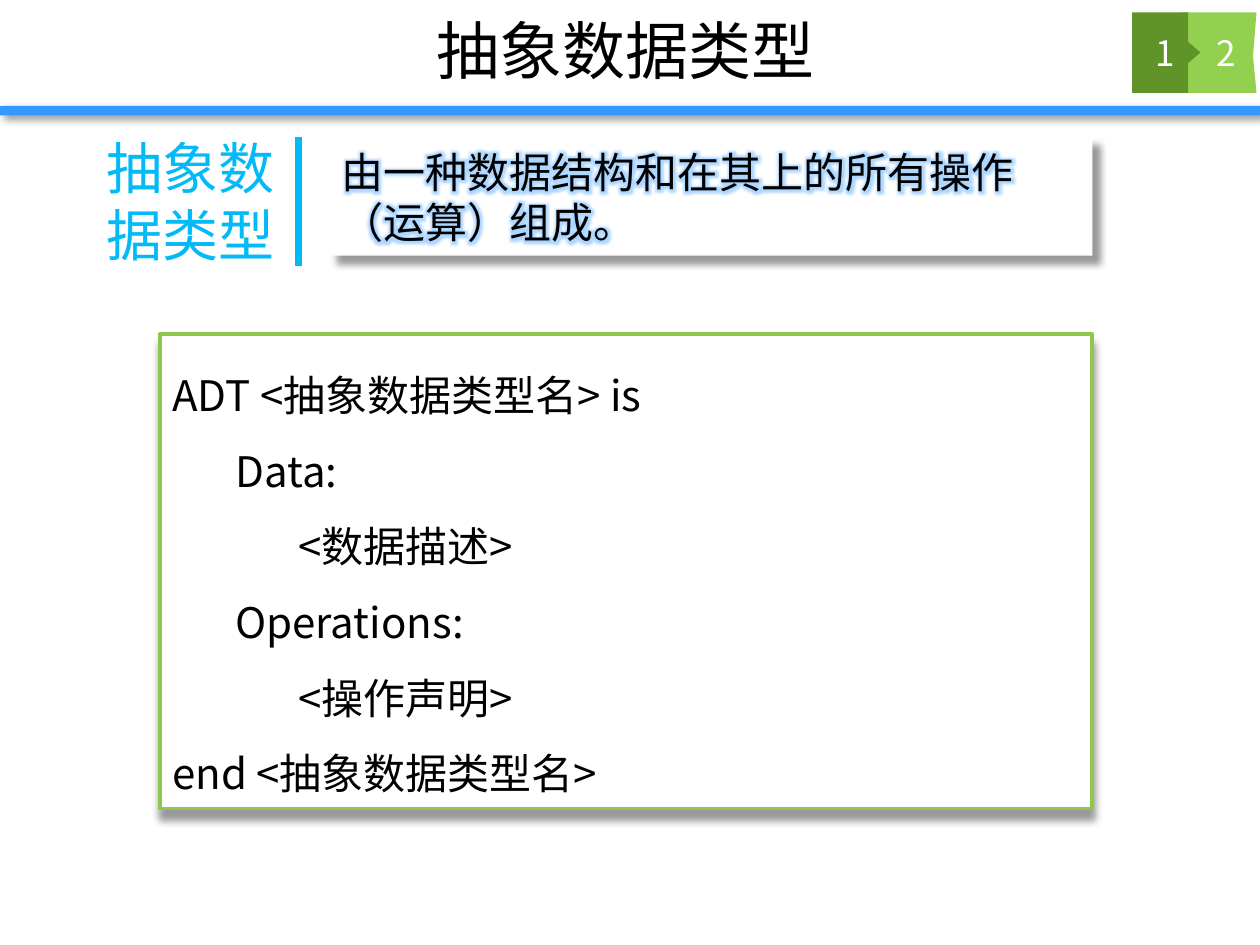
from lxml.etree import SubElement
from pptx import Presentation
from pptx.dml.color import RGBColor
from pptx.enum.shapes import MSO_CONNECTOR, MSO_SHAPE
from pptx.enum.text import MSO_ANCHOR, PP_ALIGN
from pptx.oxml import parse_xml
from pptx.oxml.ns import nsdecls, qn
from pptx.util import Pt

FONT = "Noto Sans CJK SC"
color = RGBColor.from_string


def style(shape, fill, distance=0, angle=0):
    shape.shadow.inherit = False
    shape.fill.solid()
    shape.fill.fore_color.rgb = color(fill)
    shape.line.fill.background()
    if distance:
        effects = shape._element.spPr.find(qn("a:effectLst"))
        effects.append(parse_xml(
            f'<a:outerShdw {nsdecls("a")} blurRad="{Pt(4)}" dist="{Pt(distance)}" '
            f'dir="{angle * 60000}" algn="tl" rotWithShape="0">'
            '<a:srgbClr val="000000"><a:alpha val="40000"/></a:srgbClr></a:outerShdw>'))


def write(shape, lines, size, font_color="000000", align=PP_ALIGN.LEFT,
          anchor=MSO_ANCHOR.MIDDLE, spacing=None):
    frame = shape.text_frame
    frame.word_wrap = True
    frame.vertical_anchor = anchor
    frame.text = "\n".join(lines)
    for paragraph in frame.paragraphs:
        paragraph.alignment = align
        paragraph.line_spacing = spacing
        paragraph.font.size = Pt(size)
        paragraph.font.name = FONT
        paragraph.font.color.rgb = color(font_color)
        defaults = paragraph._p.pPr.find(qn("a:defRPr"))
        SubElement(defaults, qn("a:ea")).set("typeface", FONT)


presentation = Presentation()
presentation.slide_width = Pt(720)
presentation.slide_height = Pt(540)
slide = presentation.slides.add_slide(presentation.slide_layouts[6])
shapes = slide.shapes

header_bar = shapes.add_shape(MSO_SHAPE.RECTANGLE, Pt(0), Pt(60.5), Pt(720), Pt(5.5))
style(header_bar, "3399FF", 3, 45)

tabs = [
    ("93D050", [(675.4, 7.2), (718.5, 7.2), (715.7, 31.7), (718.5, 52.6), (675.4, 52.6)]),
    ("619428", [(647.3, 7.2), (679, 7.2), (679, 24.5), (686.2, 30), (679, 35.5),
                (679, 52.6), (647.3, 52.6)]),
]
for fill, points in tabs:
    builder = shapes.build_freeform(*points[0], scale=Pt(1))
    builder.add_line_segments(points[1:], close=True)
    style(builder.convert_to_shape(), fill)

title = shapes.add_textbox(Pt(70.6), Pt(0.7), Pt(574), Pt(55.4))
write(title, ["抽象数据类型"], 36, align=PP_ALIGN.CENTER)

for number, left in (("2", 678.2), ("1", 643.7)):
    tab_number = shapes.add_textbox(Pt(left), Pt(7.2), Pt(44.6), Pt(45.4))
    write(tab_number, [number], 20, "FFFFFF", PP_ALIGN.CENTER)

term = shapes.add_textbox(Pt(54), Pt(72.7), Pt(113), Pt(85))
write(term, ["抽象数据类型"], 32, "02BAF8", anchor=MSO_ANCHOR.TOP)

divider = shapes.add_connector(MSO_CONNECTOR.STRAIGHT, Pt(170.6), Pt(78.5), Pt(170.6), Pt(152))
divider.line.color.rgb = color("02BAF8")
divider.line.width = Pt(4.5)
SubElement(divider._element.spPr, qn("a:effectLst"))

definition = shapes.add_shape(MSO_SHAPE.RECTANGLE, Pt(188), Pt(78.5), Pt(436.3), Pt(67.7))
style(definition, "FFFFFF", 6, 45)
write(definition, ["由一种数据结构和在其上的所有操作（运算）组成。"], 24)
run = definition.text_frame.paragraphs[0].runs[0]
run._r.get_or_add_rPr().append(parse_xml(
    f'<a:effectLst {nsdecls("a")}><a:glow rad="{Pt(8)}">'
    '<a:srgbClr val="3399FF"><a:alpha val="40000"/></a:srgbClr></a:glow></a:effectLst>'))

template = shapes.add_shape(MSO_SHAPE.RECTANGLE, Pt(91.4), Pt(190.8), Pt(532.8), Pt(271.4))
style(template, "FFFFFF", 6, 90)
template.line.color.rgb = color("8FC74D")
template.line.width = Pt(2)
write(template, [
    "ADT <抽象数据类型名> is",
    "\tData:",
    "\t\t<数据描述>",
    "\tOperations:",
    "\t\t<操作声明>",
    "end <抽象数据类型名>",
], 24, spacing=1.5)

presentation.save("out.pptx")
